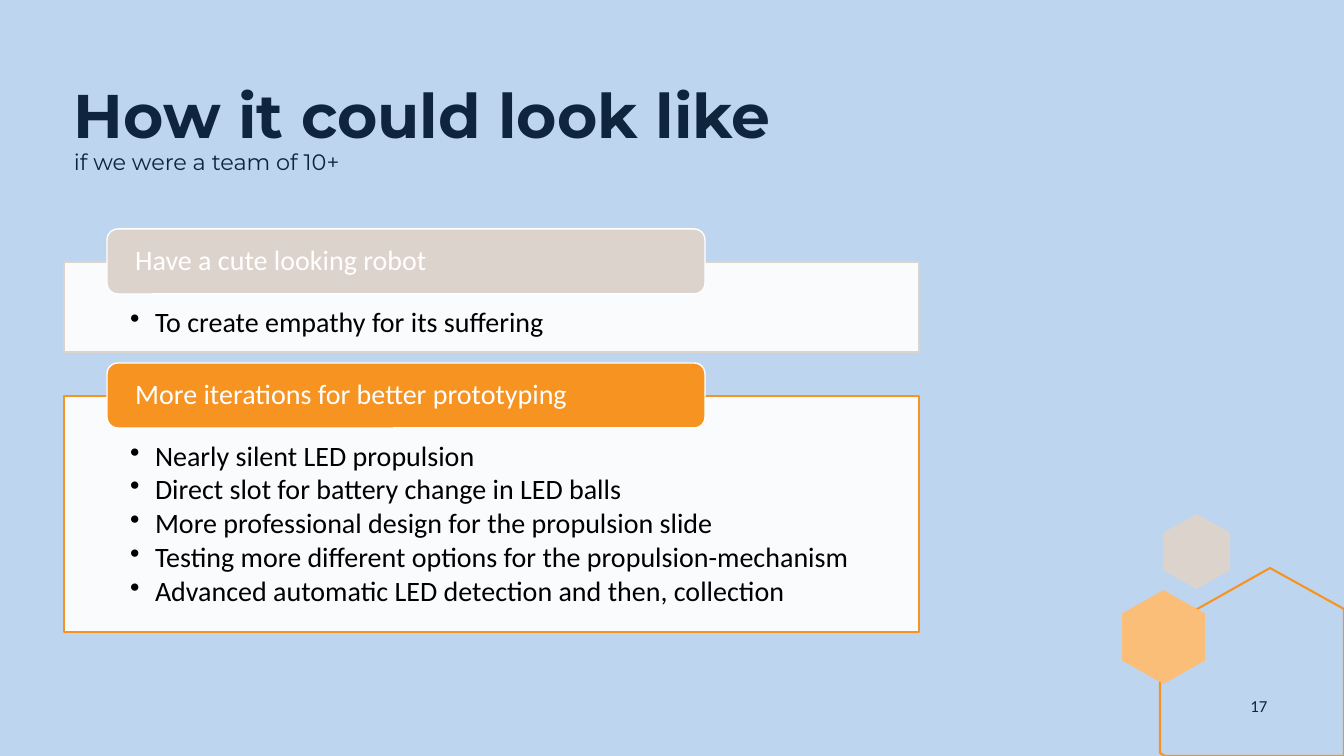
from lxml import etree
from pptx import Presentation
from pptx.dml.color import RGBColor
from pptx.enum.shapes import MSO_SHAPE
from pptx.enum.text import MSO_ANCHOR, PP_ALIGN
from pptx.oxml.ns import qn
from pptx.util import Pt

RECT, ROUND = MSO_SHAPE.RECTANGLE, MSO_SHAPE.ROUNDED_RECTANGLE
TOP, MIDDLE = MSO_ANCHOR.TOP, MSO_ANCHOR.MIDDLE
LEFT, CENTER = PP_ALIGN.LEFT, PP_ALIGN.CENTER

TITLE = "How it could look like"
SUBTITLE = "if we were a team of 10+"
NUMBER = "17"
# heading, accent colour, panel top, panel height, bullets
PANELS = [
    ("Have a cute looking robot", "sand", 262, 90,
     ["To create empathy for its suffering"]),
    ("More iterations for better prototyping", "orange", 396, 236,
     ["Nearly silent LED propulsion",
      "Direct slot for battery change in LED balls",
      "More professional design for the propulsion slide",
      "Testing more different options for the propulsion-mechanism",
      "Advanced automatic LED detection and then, collection"]),
]
HOUSE = [(1270, 568), (1344, 609), (1344, 756), (1165, 756), (1160, 753), (1160, 630)]


class Theme:
    colors = {"sky": "BED5EF", "navy": "0F253E", "sand": "DCD3CC", "orange": "F79320",
              "peach": "FABE79", "panel": "F9FBFD", "white": "FFFFFF", "black": "000000"}
    head, body = "Montserrat", "Calibri"
    title, sub, text, small = 44, 16, 20, 12


def px(n):
    return round(n * 914400 / 100.8)


def color(name):
    return RGBColor.from_string(Theme.colors[name])


def paint(shape, fill=None, line=None, width=1):
    shape.shadow.inherit = False
    if fill:
        shape.fill.solid()
        shape.fill.fore_color.rgb = color(fill)
    else:
        shape.fill.background()
    if line:
        shape.line.color.rgb = color(line)
        shape.line.width = Pt(width)
    else:
        shape.line.fill.background()


def style(font, size, tint, face=Theme.body, bold=False):
    font.size, font.name, font.bold = Pt(size), face, bold
    font.color.rgb = color(tint)


def setup(shape, text, anchor, insets=(10, 5, 10, 5)):
    """Put text in a shape and return its paragraphs."""
    frame = shape.text_frame
    frame.word_wrap = True
    frame.vertical_anchor = anchor
    (frame.margin_left, frame.margin_top,
     frame.margin_right, frame.margin_bottom) = map(px, insets)
    frame.text = text
    for para in frame.paragraphs:
        para.alignment = LEFT
    return frame.paragraphs


def bullet(para):
    props = para._p.get_or_add_pPr()
    props.set("marL", str(px(25)))
    props.set("indent", str(-px(25)))
    etree.SubElement(props, qn("a:buChar")).set("char", "•")


def outline(shapes, points, **look):
    spots = [(px(x), px(y)) for x, y in points]
    path = shapes.build_freeform(*spots[0], scale=1.0)
    path.add_line_segments(spots[1:], close=True)
    paint(path.convert_to_shape(), **look)


def hexagon(shapes, x, y, w, h, fill):
    mid, right = x + w / 2, x + w
    high, low = y + h / 4, y + h * 3 / 4
    outline(shapes, [(mid, y), (right, high), (right, low),
                     (mid, y + h), (x, low), (x, high)], fill=fill)


def panel(shapes, head, accent, top, height, items):
    box = shapes.add_shape(RECT, px(64), px(top), px(855), px(height))
    paint(box, "panel", accent)
    for para in setup(box, "\n".join(items), TOP, (66, 46, 66, 16)):
        para.line_spacing = 0.9
        para.space_after = Pt(2.5)
        bullet(para)
        style(para.font, Theme.text, "black")

    tab = shapes.add_shape(ROUND, px(107), px(top - 33), px(598), px(65))
    paint(tab, accent, "white")
    para = setup(tab, head, MIDDLE, (25, 0, 25, 0))[0]
    para.line_spacing = 0.9
    style(para.font, Theme.text, "white")


def main():
    deck = Presentation()
    deck.slide_width, deck.slide_height = px(1344), px(756)
    slide = deck.slides.add_slide(deck.slide_layouts[6])
    slide.background.fill.solid()
    slide.background.fill.fore_color.rgb = color("sky")
    shapes = slide.shapes

    hexagon(shapes, 1163, 514, 67, 75, "sand")
    outline(shapes, HOUSE, line="orange", width=1.5)
    hexagon(shapes, 1122, 590, 83, 94, "peach")

    title = shapes.add_textbox(px(64), px(80), px(1200), px(156))
    para = setup(title, TITLE + "\v" + SUBTITLE, TOP)[0]
    para.line_spacing = 0.9
    big, small = para.runs
    style(big.font, Theme.title, "navy", Theme.head, True)
    style(small.font, Theme.sub, "navy", Theme.head)

    for row in PANELS:
        panel(shapes, *row)

    number = shapes.add_textbox(px(1234), px(686), px(50), px(40))
    para = setup(number, NUMBER, MIDDLE)[0]
    para.alignment = CENTER
    style(para.font, Theme.small, "navy")
    deck.save("out.pptx")


if __name__ == "__main__":
    main()
